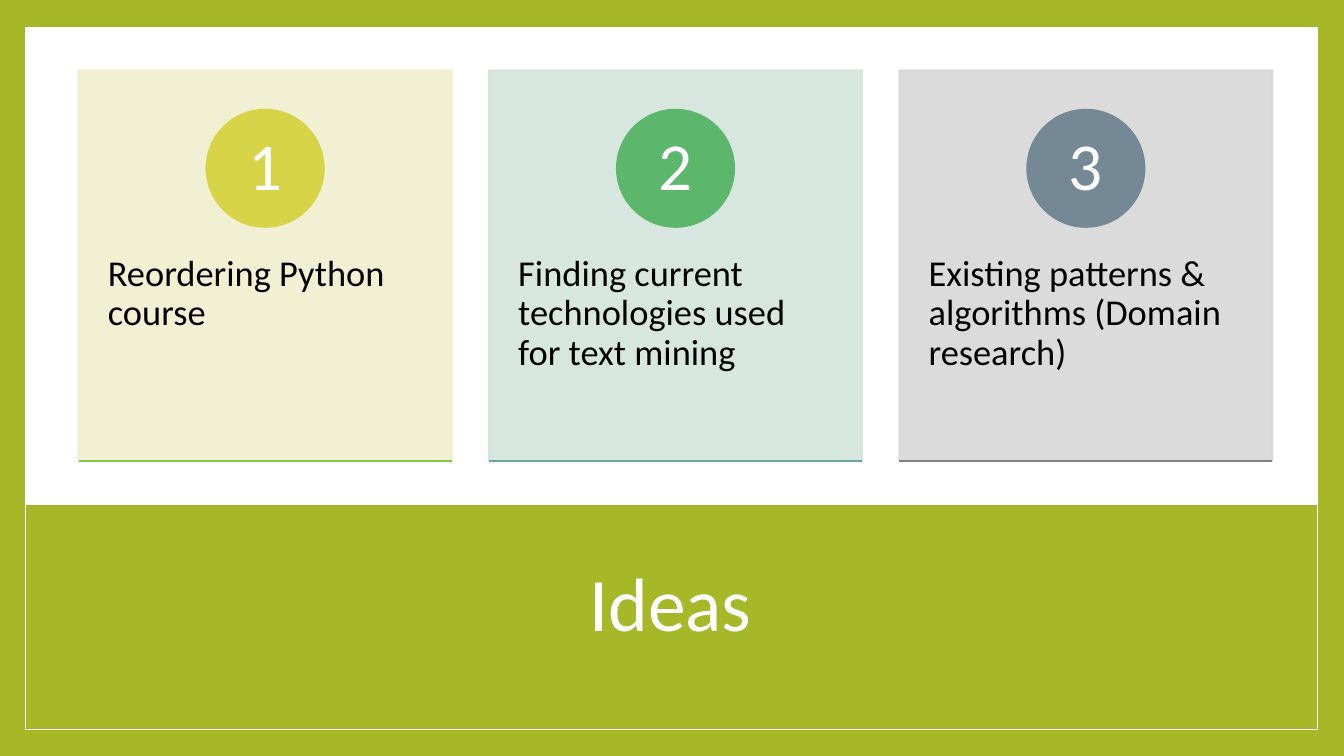
"""Build the "Ideas" slide: three numbered cards above a title band."""
from lxml import etree
from pptx import Presentation
from pptx.dml.color import RGBColor
from pptx.enum import shapes, text
from pptx.oxml import ns
from pptx.util import Inches, Pt

COLORS = {
    "green": "A6B727", "white": "FFFFFF", "black": "000000",
    "card 1": "F0EFCF", "circle 1": "D7D447", "rule 1": "83C851",
    "card 2": "D3E5DC", "circle 2": "5CB76D", "rule 2": "68A79A",
    "card 3": "D8D8D9", "circle 3": "748895", "rule 3": "818183",
}
IDEAS = [
    "Reordering Python course",
    "Finding current technologies used for text mining",
    "Existing patterns & algorithms (Domain research)",
]
CARD_LEFT, CARD_TOP, CARD_WIDTH, CARD_HEIGHT = 0.78, 0.7, 3.7, 3.87
CARD_STEP = 4.07
CIRCLE_SIZE = 1.16


def write(shape, words, size, color="white", align=text.PP_ALIGN.CENTER,
          anchor=text.MSO_ANCHOR.MIDDLE, insets=(0.1, 0.05)):
    """Put one formatted paragraph into a shape."""
    frame = shape.text_frame
    frame.word_wrap = True
    frame.vertical_anchor = anchor
    frame.margin_left = frame.margin_right = Inches(insets[0])
    frame.margin_top = frame.margin_bottom = Inches(insets[1])
    paragraph = frame.paragraphs[0]
    paragraph.alignment = align
    paragraph.line_spacing = 0.9
    run = paragraph.add_run()
    run.text = words
    run.font.name = "Calibri"
    run.font.size = Pt(size)
    run.font.color.rgb = RGBColor.from_string(COLORS[color])


class SlideBuilder:
    """Holds the colours and the current slide."""

    def __init__(self, slide, colors):
        self.slide = slide
        self.colors = colors

    def paint(self, fill, color, opacity=100):
        """Make a fill solid, see-through when opacity is below 100."""
        fill.solid()
        fill.fore_color.rgb = RGBColor.from_string(self.colors[color])
        if opacity < 100:
            for element in fill._xPr.iter(ns.qn("a:srgbClr")):
                alpha = etree.SubElement(element, ns.qn("a:alpha"))
                alpha.set("val", str(opacity * 1000))

    def shape(self, kind, box, fill, line=None, width=1.5, opacity=100):
        """Add a preset shape."""
        shape = self.slide.shapes.add_shape(kind, *map(Inches, box))
        shape.shadow.inherit = False
        self.paint(shape.fill, fill, opacity)
        if line:
            shape.line.width = Pt(width)
            self.paint(shape.line.fill, line, opacity)
        else:
            shape.line.fill.background()
        return shape

    def text_box(self, box, words, size, **style):
        """Add a text box."""
        shape = self.slide.shapes.add_textbox(*map(Inches, box))
        write(shape, words, size, **style)

    def rule(self, left, top, width, color):
        """Add a horizontal line."""
        ends = map(Inches, (left, top, left + width, top))
        line = self.slide.shapes.add_connector(shapes.MSO_CONNECTOR.STRAIGHT, *ends)
        line.line.width = Pt(1.5)
        self.paint(line.line.fill, color)
        etree.SubElement(line._element.spPr, ns.qn("a:effectLst"))

    def card(self, number, left, idea):
        """Add a numbered idea card."""
        card, circle = f"card {number}", f"circle {number}"
        self.shape(shapes.MSO_SHAPE.RECTANGLE, (left, CARD_TOP, CARD_WIDTH, CARD_HEIGHT),
                   card, line=card, opacity=90)
        self.text_box((left, 2.17, CARD_WIDTH, 2.32), idea, 26, color="black",
                      align=text.PP_ALIGN.LEFT, anchor=text.MSO_ANCHOR.TOP,
                      insets=(0.29, 0.36))
        circle_left = left + (CARD_WIDTH - CIRCLE_SIZE) / 2
        badge = self.shape(shapes.MSO_SHAPE.OVAL,
                           (circle_left, 1.09, CIRCLE_SIZE, CIRCLE_SIZE),
                           circle, line=circle)
        write(badge, str(number), 48, insets=(0.09, 0.01))
        self.rule(left, CARD_TOP + CARD_HEIGHT, CARD_WIDTH, f"rule {number}")


presentation = Presentation()
presentation.slide_width = Inches(13.33)
presentation.slide_height = Inches(7.5)
builder = SlideBuilder(presentation.slides.add_slide(presentation.slide_layouts[6]), COLORS)

builder.shape(shapes.MSO_SHAPE.RECTANGLE, (0, 0, 13.33, 7.5), "green")
builder.shape(shapes.MSO_SHAPE.RECTANGLE, (0.25, 0.27, 12.82, 6.97), "white")
builder.shape(shapes.MSO_SHAPE.RECTANGLE, (0.25, 5, 12.82, 2.24), "green",
              line="white", width=1)
builder.text_box((1.25, 5.28, 10.8, 1.48), "Ideas", 54)
for index, idea in enumerate(IDEAS):
    builder.card(index + 1, CARD_LEFT + index * CARD_STEP, idea)

presentation.save("out.pptx")
